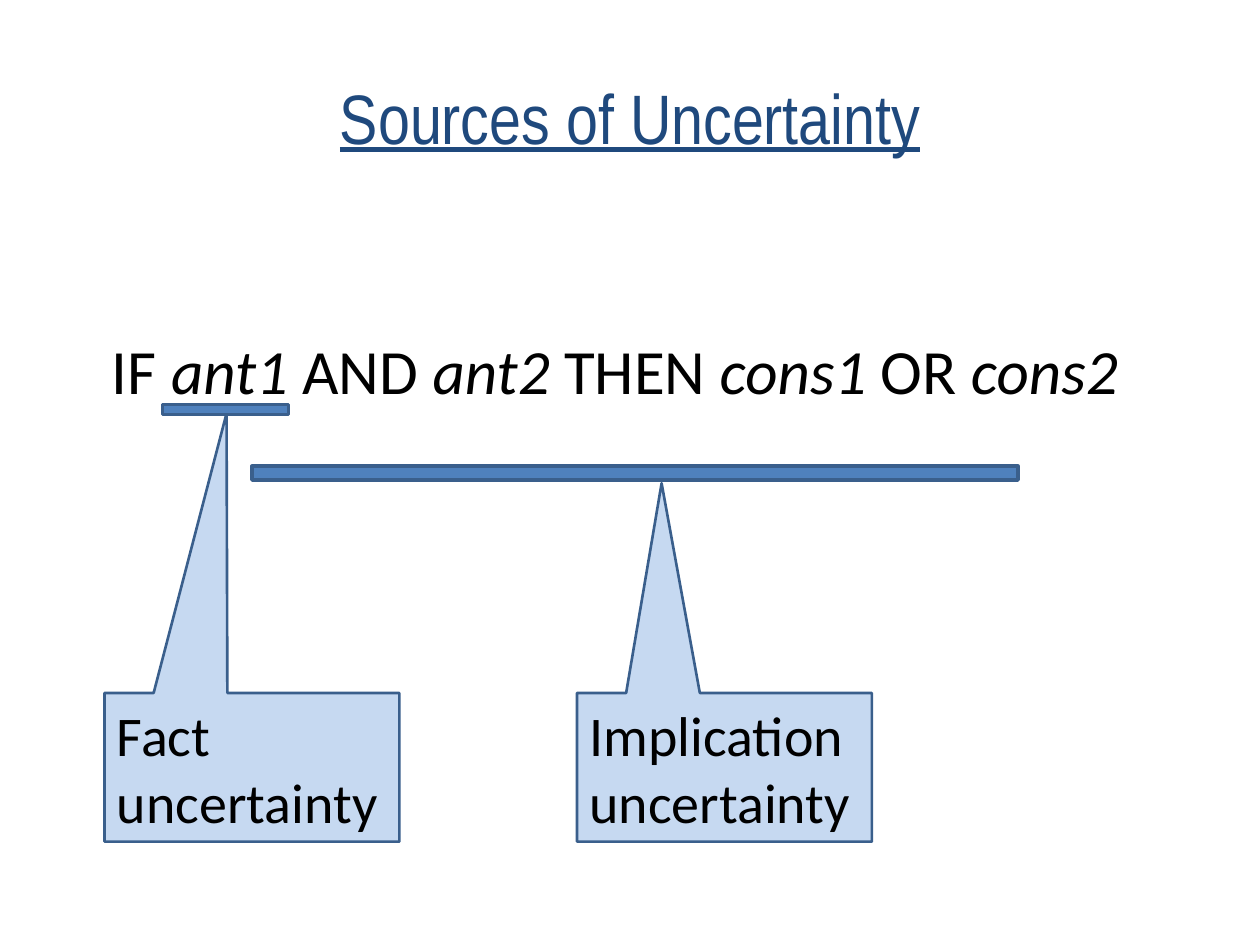
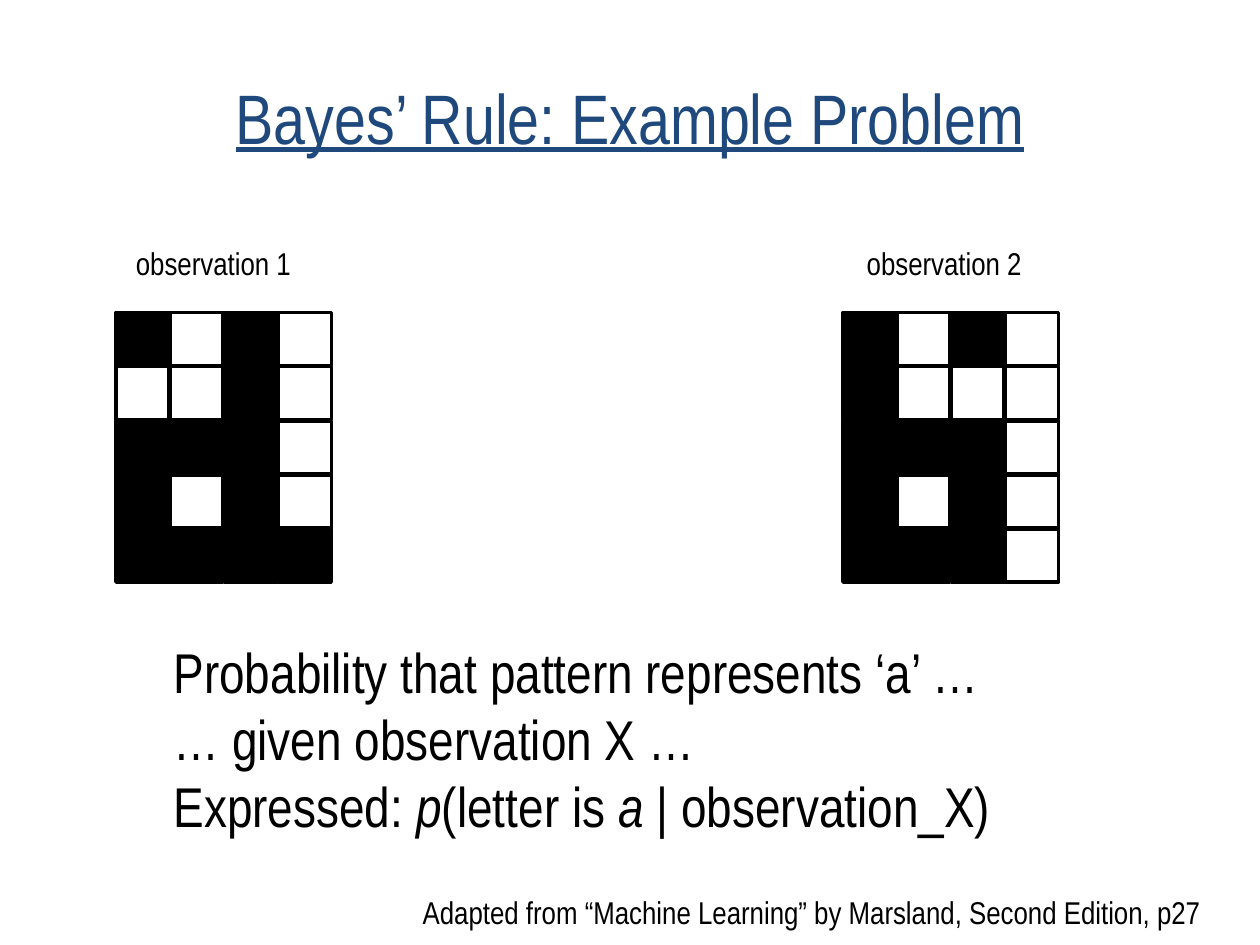
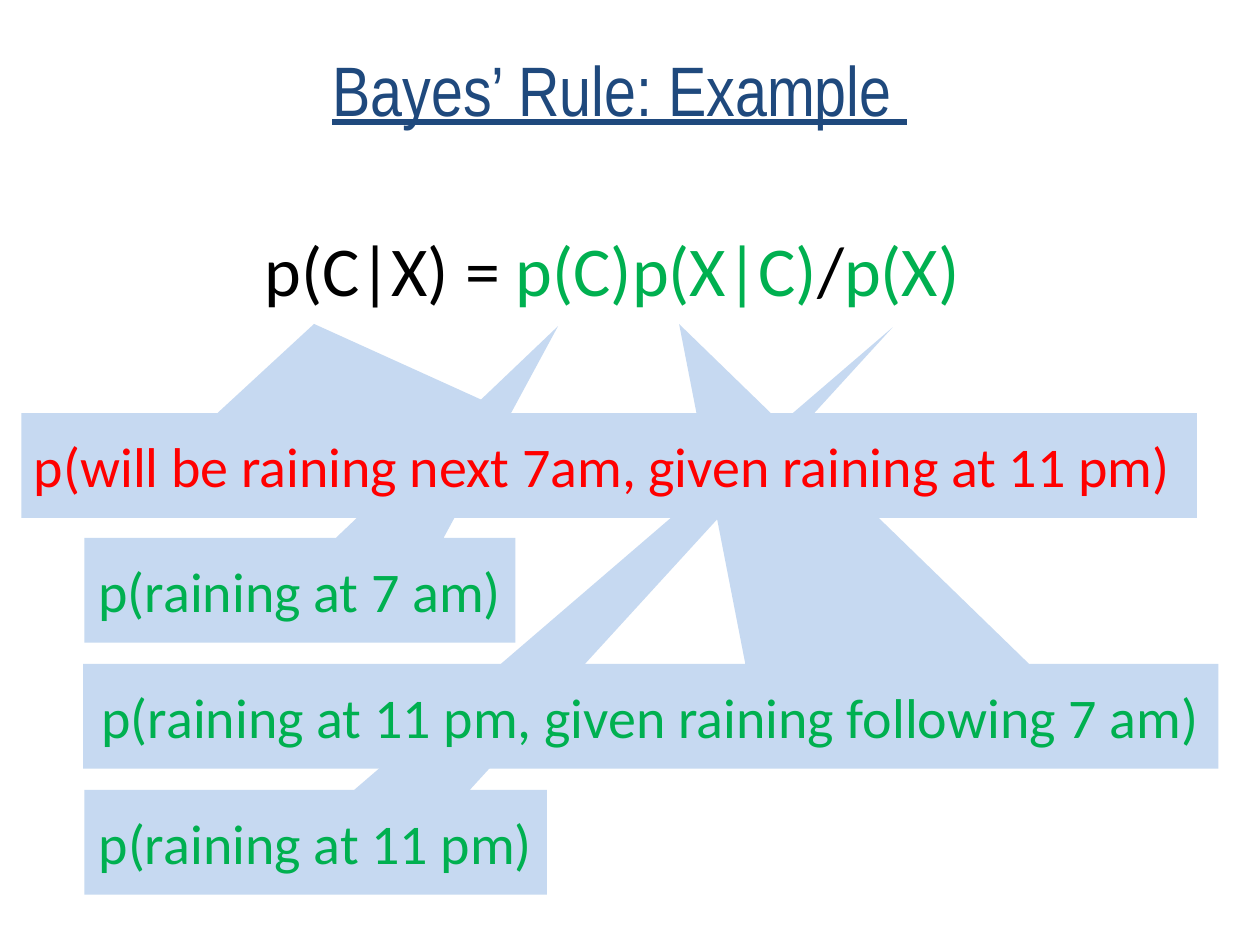
"""Build three slides on uncertainty and Bayes' rule."""
from pptx import Presentation
from pptx.dml.color import RGBColor
from pptx.enum.shapes import MSO_SHAPE
from pptx.enum.text import MSO_ANCHOR, PP_ALIGN
from pptx.util import Inches, Pt

RECTANGLE = MSO_SHAPE.RECTANGLE
CALLOUT = MSO_SHAPE.RECTANGULAR_CALLOUT
TOP, MIDDLE = MSO_ANCHOR.TOP, MSO_ANCHOR.MIDDLE
LEFT, CENTER, RIGHT = PP_ALIGN.LEFT, PP_ALIGN.CENTER, PP_ALIGN.RIGHT

BLACK = RGBColor(0x00, 0x00, 0x00)
WHITE = RGBColor(0xFF, 0xFF, 0xFF)
NAVY = RGBColor(0x1F, 0x49, 0x7D)
BLUE = RGBColor(0x4F, 0x81, 0xBD)
OUTLINE = RGBColor(0x3A, 0x5F, 0x8C)
PALE_BLUE = RGBColor(0xC6, 0xD9, 0xF1)
GREEN = RGBColor(0x00, 0xB0, 0x50)
RED = RGBColor(0xFF, 0x00, 0x00)

HEADING_FONT = "Arial Narrow"
BODY_FONT = "Calibri"


def write_text(shape, lines, font, size, color=BLACK, alignment=LEFT, anchor=TOP, wrap=True):
    """Fill a shape with lines, each a list of runs, and return its paragraphs."""
    frame = shape.text_frame
    frame.word_wrap = wrap
    frame.vertical_anchor = anchor
    for index, runs in enumerate(lines):
        paragraph = frame.add_paragraph() if index else frame.paragraphs[0]
        paragraph.alignment = alignment
        paragraph.font.name = font
        paragraph.font.size = Pt(size)
        paragraph.font.color.rgb = color
        for text in runs:
            paragraph.add_run().text = text
    return frame.paragraphs


def add_box(slide, kind, left, top, width, height, fill, line=None, line_width=2):
    """Add a filled shape, outlined when a line colour is given."""
    shape = slide.shapes.add_shape(kind, Inches(left), Inches(top), Inches(width), Inches(height))
    shape.shadow.inherit = False
    shape.fill.solid()
    shape.fill.fore_color.rgb = fill
    if line is None:
        shape.line.fill.background()
    else:
        shape.line.color.rgb = line
        shape.line.width = Pt(line_width)
    return shape


presentation = Presentation()
presentation.slide_width = Inches(10)
presentation.slide_height = Inches(7.5)

titles = [
    ("Sources of Uncertainty", 0.5, 0.3),
    ("Bayes’ Rule: Example Problem", 0.5, 0.3),
    ("Bayes’ Rule: Example ", 0.42, 0.08),
]
for title, left, top in titles:
    slide = presentation.slides.add_slide(presentation.slide_layouts[6])
    title_box = slide.shapes.add_textbox(Inches(left), Inches(top), Inches(9), Inches(1.25))
    paragraphs = write_text(title_box, [[title]], HEADING_FONT, 40, NAVY, CENTER, MIDDLE)
    paragraphs[0].font.underline = True
sources_slide, problem_slide, example_slide = presentation.slides

rule_box = sources_slide.shapes.add_textbox(Inches(0.79), Inches(2.58), Inches(8.42), Inches(0.71))
rule_runs = ["IF ", "ant1", " AND ", "ant2", " THEN ", "cons1", " OR ", "cons2"]
rule = write_text(rule_box, [rule_runs], BODY_FONT, 36)[0]
for run in rule.runs[1::2]:
    run.font.italic = True

uncertainties = [
    ("Fact uncertainty", 0.83, -0.086, -2.381),
    ("Implication uncertainty", 4.58, -0.213, -1.911),
]
for text, left, tip_x, tip_y in uncertainties:
    callout = add_box(sources_slide, CALLOUT, left, 5.5, 2.34, 1.18, PALE_BLUE, OUTLINE, 1.5)
    callout.adjustments[0] = tip_x
    callout.adjustments[1] = tip_y
    write_text(callout, [[text]], BODY_FONT, 32, anchor=MIDDLE)

for left, top, width, height in [(1.29, 3.21, 1, 0.08), (2, 3.7, 6.08, 0.11)]:
    add_box(sources_slide, RECTANGLE, left, top, width, height, BLUE, OUTLINE)

credit_box = problem_slide.shapes.add_textbox(Inches(2.21), Inches(7.04), Inches(7.42), Inches(0.4))
credit = "Adapted from “Machine Learning” by Marsland, Second Edition, p27"
write_text(credit_box, [[credit]], HEADING_FONT, 18, alignment=RIGHT)

CELL, PITCH = 0.42, 0.43
observations = [
    ("observation 1", 0.98, 0.92, ["#.#.", "..#.", "###.", "#.#.", "####"]),
    ("observation 2", 6.78, 6.69, ["#.#.", "#...", "###.", "#.#.", "###."]),
]
for label, label_left, grid_left, pattern in observations:
    for row, cells in enumerate(pattern):
        for column, cell in enumerate(cells):
            fill = BLACK if cell == "#" else WHITE
            add_box(problem_slide, RECTANGLE, grid_left + column * PITCH, 2.48 + row * PITCH,
                    CELL, CELL, fill, BLACK)
    label_box = problem_slide.shapes.add_textbox(
        Inches(label_left), Inches(1.89), Inches(1.48), Inches(0.4))
    write_text(label_box, [[label]], HEADING_FONT, 18, wrap=False)

question_box = problem_slide.shapes.add_textbox(
    Inches(1.28), Inches(5.01), Inches(7.43), Inches(1.72))
question_lines = [
    ["Probability that pattern represents ‘a’ …"],
    ["… given observation X …"],
    ["Expressed: ", "p", "(letter is ", "a ", "| observation_X)"],
]
expression = write_text(question_box, question_lines, HEADING_FONT, 32)[-1]
for run in expression.runs[1::2]:
    run.font.italic = True

formula_box = example_slide.shapes.add_textbox(Inches(2), Inches(1.75), Inches(5.83), Inches(0.77))
formula = write_text(formula_box, [["p(C|X) = ", "p(C)p(X|C)", "/", "p(X)"]], BODY_FONT, 40)[0]
for run in formula.runs[1::2]:
    run.font.color.rgb = GREEN

terms = [
    ("p(raining at 11 pm)", 0.67, 6.27, 3.67, 1.248, -4.925, GREEN, CENTER),
    ("p(raining at 11 pm, given raining following 7 am)",
     0.66, 5.27, 9.01, 0.025, -3.751, GREEN, CENTER),
    ("p(raining at 7 am)", 0.67, 4.27, 3.42, 0.599, -2.526, GREEN, CENTER),
    ("p(will be raining next 7am, given raining at 11 pm)",
     0.17, 3.28, 9.33, -0.251, -1.354, RED, LEFT),
]
for text, left, top, width, tip_x, tip_y, color, alignment in terms:
    callout = add_box(example_slide, CALLOUT, left, top, width, 0.83, PALE_BLUE)
    callout.adjustments[0] = tip_x
    callout.adjustments[1] = tip_y
    write_text(callout, [[text]], BODY_FONT, 32, color, alignment, MIDDLE)

presentation.save("out.pptx")
